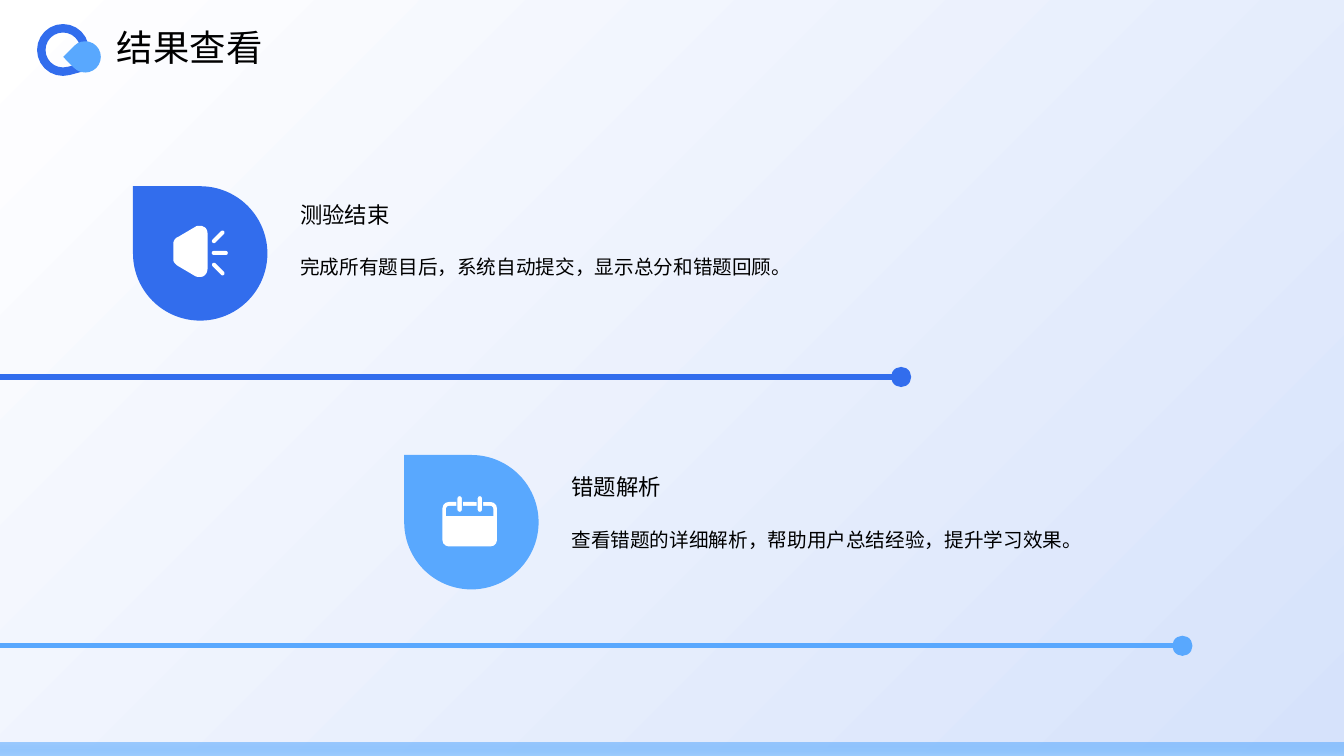
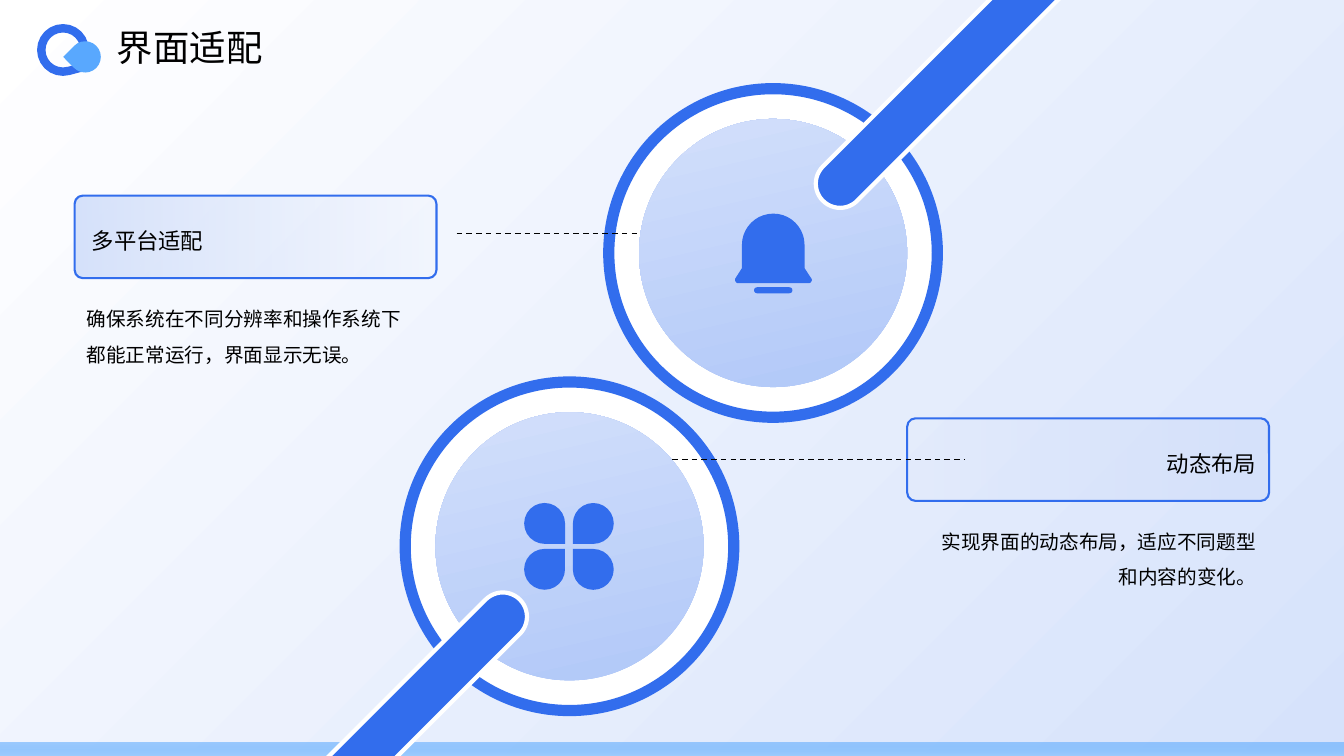
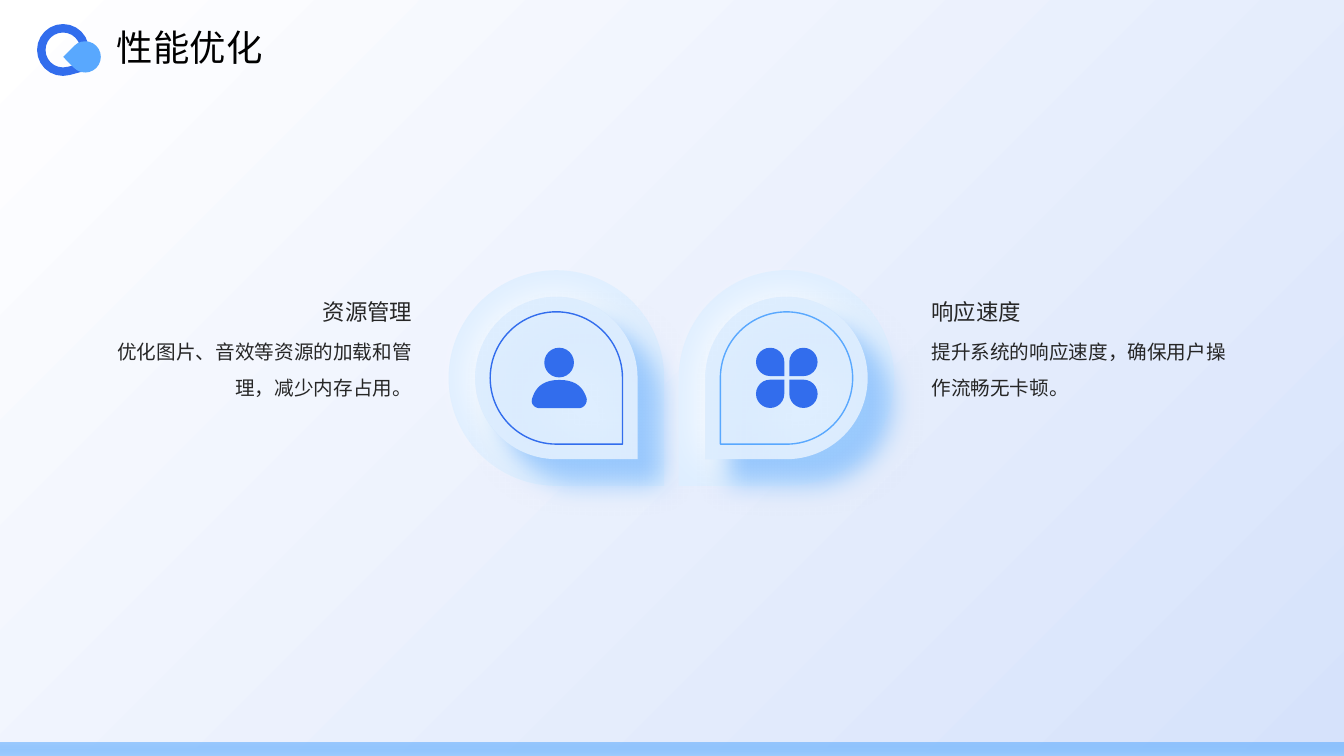
import pptx
import pptx.dml.color
import pptx.enum.dml
import pptx.enum.shapes
import pptx.enum.text
import pptx.oxml.ns
import pptx.util
from lxml import etree

Pt = pptx.util.Pt
qn = pptx.oxml.ns.qn
KIND = pptx.enum.shapes.MSO_SHAPE
ANCHOR = pptx.enum.text.MSO_ANCHOR
ALIGN = pptx.enum.text.PP_ALIGN

FONT = "Noto Sans CJK SC"
COLORS = {
    "white": "FFFFFF",
    "black": "000000",
    "charcoal": "262626",
    "blue": "326DED",
    "sky": "59A8FE",
    "light sky": "9BCBFE",
    "ice": "DEEEFF",
    "mist": "D6E2FB",
    "lavender": "ADC5F8",
    "glow": "84A7F4",
}

# Each step is a line end (x, y) or a curve (two control points, end point).
CONE = [
    (18.7, 0), (19.4, 0, 20.9, 0, 21.6, 0.7), (23.8, 1.4, 24.5, 3.6, 24.5, 5.8),
    (24.5, 30.2), (24.5, 32.4, 23.8, 34.6, 21.6, 36), (20.2, 36.7, 17.3, 36.7, 15.8, 36),
    (3.6, 28.8), (1.4, 27.4, 0, 25.9, 0, 23.8), (0, 13), (0, 10.8, 1.4, 8.6, 3.6, 7.9),
    (15.8, 0.7), (16.6, 0, 18, 0, 18.7, 0),
]
BELL = [
    (27.4, 0), (39.7, 0, 49.7, 10, 49.7, 22.3), (49.7, 38.9), (54.4, 46.1),
    (55, 46.8, 55, 47.6, 54.7, 48.2), (54.3, 49.2, 53.5, 49.7, 52.6, 49.7), (2.2, 49.7),
    (1.4, 49.7, 0.7, 49.2, 0.3, 48.2), (0, 47.6, 0, 46.8, 0.4, 46.1), (5, 38.9),
    (5, 22.3), (5, 10, 15.1, 0, 27.4, 0),
]
SHOULDERS = [
    (19.8, 0), (32.8, 0, 37.1, 6.5, 39.2, 13), (40, 16.6, 37.1, 20.2, 33.5, 20.2),
    (6, 20.2), (1.6, 20.2, -1, 16.6, 0.4, 13), (2.5, 6.5, 6.8, 0, 19.8, 0),
]


def rgb(color):
    return pptx.dml.color.RGBColor.from_string(COLORS[color])


def style_shape(shape, fill=None, line=None, line_width=1):
    shape.shadow.inherit = False
    if fill:
        shape.fill.solid()
        shape.fill.fore_color.rgb = rgb(fill)
    else:
        shape.fill.background()
    if line:
        shape.line.color.rgb = rgb(line)
        shape.line.width = Pt(line_width)
    else:
        shape.line.fill.background()


def add_shape(slide, kind, left, top, width, height, fill=None, line=None,
              line_width=1, rotation=0, corner=None):
    shape = slide.shapes.add_shape(kind, Pt(left), Pt(top), Pt(width), Pt(height))
    style_shape(shape, fill, line, line_width)
    shape.rotation = rotation
    if corner is not None:
        shape.adjustments[0] = corner
    return shape


def add_centered(slide, kind, center, width, height, **style):
    return add_shape(slide, kind, center[0] - width / 2, center[1] - height / 2,
                     width, height, **style)


def set_gradient(fill, colors, angle):
    """Fill with two colours; the angle runs counter-clockwise."""
    fill.gradient()
    fill.gradient_angle = angle
    for stop, color in zip(fill.gradient_stops, colors):
        stop.color.rgb = rgb(color)


def fade_end(shape, percent):
    """Set the opacity of the last gradient stop."""
    color = shape.element.spPr.findall(".//" + qn("a:gs"))[-1][0]
    etree.SubElement(color, qn("a:alpha"), val=str(percent * 1000))


def add_shadow(shape, color, blur, distance, direction):
    effects = shape.element.spPr.find(qn("a:effectLst"))
    shadow = etree.SubElement(effects, qn("a:outerShdw"), blurRad=str(Pt(blur)),
                              dist=str(Pt(distance)), dir=str(direction * 60000),
                              algn="ctr", rotWithShape="0")
    etree.SubElement(shadow, qn("a:srgbClr"), val=COLORS[color])


def add_outline(slide, left, top, steps, color):
    points = [steps[0]]
    for step in steps[1:]:
        if len(step) == 2:
            points.append(step)
            continue
        start = points[-1]
        for count in range(1, 11):
            t = count / 10
            weights = ((1 - t) ** 3, 3 * t * (1 - t) ** 2, 3 * t ** 2 * (1 - t), t ** 3)
            points.append(tuple(
                sum(weight * value for weight, value in zip(weights, (start[axis], *step[axis::2])))
                for axis in (0, 1)))
    vertices = [(Pt(left + x), Pt(top + y)) for x, y in points]
    builder = slide.shapes.build_freeform(*vertices[0])
    builder.add_line_segments(vertices[1:], close=True)
    style_shape(builder.convert_to_shape(), color)


def add_line(slide, start, end, color, width, dashed=False):
    line = slide.shapes.add_connector(pptx.enum.shapes.MSO_CONNECTOR.STRAIGHT,
                                      *(Pt(value) for value in (*start, *end)))
    line.line.color.rgb = rgb(color)
    line.line.width = Pt(width)
    if dashed:
        line.line.dash_style = pptx.enum.dml.MSO_LINE.DASH
    etree.SubElement(line.element.spPr, qn("a:effectLst"))


def write_text(box, text, size, color, spacing, anchor, align):
    frame = box.text_frame
    frame.word_wrap = True
    frame.auto_size = pptx.enum.text.MSO_AUTO_SIZE.NONE
    frame.vertical_anchor = anchor
    frame.text = text
    para = frame.paragraphs[0]
    para.alignment = align
    para.line_spacing = spacing
    font = para.runs[0].font
    font.size = Pt(size)
    font.name = FONT
    font.color.rgb = rgb(color)
    for properties in box.element.iter(qn("a:rPr")):
        etree.SubElement(properties, qn("a:ea"), typeface=FONT)


def add_text(slide, left, top, width, height, text, size, spacing,
             color="black", anchor=ANCHOR.TOP, align=ALIGN.LEFT):
    box = slide.shapes.add_textbox(Pt(left), Pt(top), Pt(width), Pt(height))
    frame = box.text_frame
    frame.margin_left = frame.margin_right = frame.margin_top = frame.margin_bottom = 0
    write_text(box, text, size, color, spacing, anchor, align)


def add_heading(slide, left, top, width, height, text, **style):
    add_text(slide, left, top, width, height, text, 16, 1.3, **style)


def add_body(slide, left, top, width, height, text, **style):
    add_text(slide, left, top, width, height, text, 14, 1.5, **style)


def add_page(deck, title):
    """Add a slide with the title, emblem and bottom band."""
    slide = deck.slides.add_slide(deck.slide_layouts[5])
    box = slide.shapes.title
    box.left, box.top, box.width, box.height = Pt(76.3), Pt(18), Pt(840), Pt(39)
    write_text(box, title, 26, "black", 0.9, ANCHOR.TOP, ALIGN.LEFT)
    band = add_shape(slide, KIND.RECTANGLE, 0, 530.6, 960, 9.4)
    set_gradient(band.fill, ("light sky", "sky"), 90)
    fade_end(band, 53)
    add_shape(slide, KIND.TEAR, 29.5, 20.2, 31, 31, line="blue", line_width=6, rotation=75)
    add_shape(slide, KIND.TEAR, 49.7, 29.5, 22.3, 22.3, "sky", rotation=225)
    return slide


def add_speaker(slide):
    add_outline(slide, 123.8, 161.3, CONE, "white")
    for center, rotation in (((155.9, 169.2), -45), ((157, 180.7), 0), ((155.9, 192.2), 45)):
        add_centered(slide, KIND.ROUNDED_RECTANGLE, center, 11.5, 2.9,
                     fill="white", rotation=rotation, corner=0.5)


def add_calendar(slide, gap_color):
    add_shape(slide, KIND.ROUNDED_RECTANGLE, 316.1, 358.6, 38.9, 31.7, "white", corner=0.14)
    add_shape(slide, KIND.ROUND_2_SAME_RECTANGLE, 318.6, 361.4, 33.8, 7.2, gap_color, corner=0.3)
    for left in (326.4, 340.8):
        add_shape(slide, KIND.ROUNDED_RECTANGLE, left, 354, 3.9, 12, "white",
                  line=gap_color, line_width=0.75, corner=0.5)


def add_clover(slide, left, top, width, height, petal):
    for column, row, rotation in ((0, 0, 90), (1, 0, 180), (0, 1, 0), (1, 1, 270)):
        add_shape(slide, KIND.TEAR, left + column * (width - petal),
                  top + row * (height - petal), petal, petal, "blue", rotation=rotation)


def add_bell(slide):
    add_outline(slide, 525, 152.6, BELL, "blue")
    add_shape(slide, KIND.ROUNDED_RECTANGLE, 538.6, 205.2, 27.4, 4.3, "blue", corner=0.5)


def add_person(slide):
    add_shape(slide, KIND.OVAL, 388.8, 248.4, 21.2, 21.2, "blue")
    add_outline(slide, 379.8, 271.4, SHOULDERS, "blue")


def add_topic(slide, left, top, text_top, line_end, color, heading, body):
    """Teardrop and text above a line that ends in a dot."""
    add_shape(slide, KIND.TEAR, left, top, 96, 96, color, rotation=270)
    add_heading(slide, left + 119.5, text_top, 428, 64, heading, anchor=ANCHOR.BOTTOM)
    add_body(slide, left + 119.5, text_top + 75.2, 428, 81, body)
    dot = (line_end, top + 136.3)
    add_line(slide, (0, dot[1]), dot, color, 3.6)
    add_centered(slide, KIND.OVAL, dot, 14.4, 14.4, fill=color)


def add_lens(slide, center):
    add_centered(slide, KIND.OVAL, center, 234.7, 234.7, fill="white", line="blue", line_width=8)
    disc = add_centered(slide, KIND.OVAL, center, 191.5, 191.5, rotation=167)
    set_gradient(disc.fill, ("lavender", "mist"), 270)


def add_handle(slide, center):
    add_centered(slide, KIND.ROUNDED_RECTANGLE, center, 34.6, 260, fill="blue",
                 line="white", line_width=3, rotation=45, corner=0.5)


def add_callout(slide, left, top, heading, body, body_left, angle, align):
    frame = add_shape(slide, KIND.ROUNDED_RECTANGLE, left, top, 258.5, 59,
                      line="blue", line_width=1.5, corner=0.1)
    set_gradient(frame.fill, ("mist", "mist"), angle)
    fade_end(frame, 0)
    add_heading(slide, left + 12.2, top + 3.6, 237, 51, heading, anchor=ANCHOR.MIDDLE, align=align)
    add_body(slide, body_left, top + 71.3, 237, 137, body, align=align)


def add_badge(slide, left, rotation, line):
    """Nested teardrops with a light and a dark shadow."""
    center = (left + 77, 270)
    add_centered(slide, KIND.TEAR, center, 154, 154, fill="ice", rotation=rotation)
    for shadow in (("white", 32, 3, 180), ("light sky", 18, 24, 45)):
        drop = add_centered(slide, KIND.TEAR, center, 116, 116, fill="ice", rotation=rotation)
        add_shadow(drop, *shadow)
    rim = add_centered(slide, KIND.TEAR, center, 94.5, 94.5, line=line, rotation=rotation)
    add_shadow(rim, "glow", 34, 24, 45)


def add_note(slide, left, heading, body, align):
    add_heading(slide, left, 209.5, 212.4, 22.3, heading, color="charcoal",
                anchor=ANCHOR.BOTTOM, align=align)
    add_body(slide, left, 234.7, 212.4, 111, body, color="charcoal", align=align)


def add_results(deck):
    slide = add_page(deck, "结果查看")
    add_topic(slide, 95, 133, 98.6, 643.7, "blue", "测验结束",
              "完成所有题目后，系统自动提交，显示总分和错题回顾。")
    add_speaker(slide)
    add_topic(slide, 288.7, 325, 293.3, 844.6, "sky", "错题解析",
              "查看错题的详细解析，帮助用户总结经验，提升学习效果。")
    add_calendar(slide, "sky")


def add_interface(deck):
    slide = add_page(deck, "界面适配")
    for center in ((406.8, 390.2), (552.2, 180.7)):
        add_lens(slide, center)
    add_callout(slide, 53.3, 139.7, "多平台适配",
                "确保系统在不同分辨率和操作系统下都能正常运行，界面显示无误。", 61.9, 0, ALIGN.LEFT)
    add_line(slide, (326.2, 167), (457, 167), "black", 1, dashed=True)
    add_callout(slide, 648, 298.8, "动态布局",
                "实现界面的动态布局，适应不同题型和内容的变化。", 660.2, 180, ALIGN.RIGHT)
    add_line(slide, (480.2, 328.3), (689, 328.3), "black", 1, dashed=True)
    add_clover(slide, 374.4, 359.3, 64, 62, 29.2)
    add_bell(slide)
    for center in ((279.4, 520.2), (679.7, 51.5)):
        add_handle(slide, center)


def add_performance(deck):
    slide = add_page(deck, "性能优化")
    add_badge(slide, 320.4, 90, "blue")
    add_person(slide)
    add_badge(slide, 484.8, 180, "sky")
    add_clover(slide, 540, 248.4, 44, 43, 20.2)
    add_note(slide, 82, "资源管理", "优化图片、音效等资源的加载和管理，减少内存占用。", ALIGN.RIGHT)
    add_note(slide, 665.3, "响应速度", "提升系统的响应速度，确保用户操作流畅无卡顿。", ALIGN.LEFT)


def main():
    deck = pptx.Presentation()
    deck.slide_width, deck.slide_height = Pt(960), Pt(540)
    set_gradient(deck.slide_master.background.fill, ("white", "mist"), 315)
    add_results(deck)
    add_interface(deck)
    add_performance(deck)
    deck.save("out.pptx")


if __name__ == "__main__":
    main()
